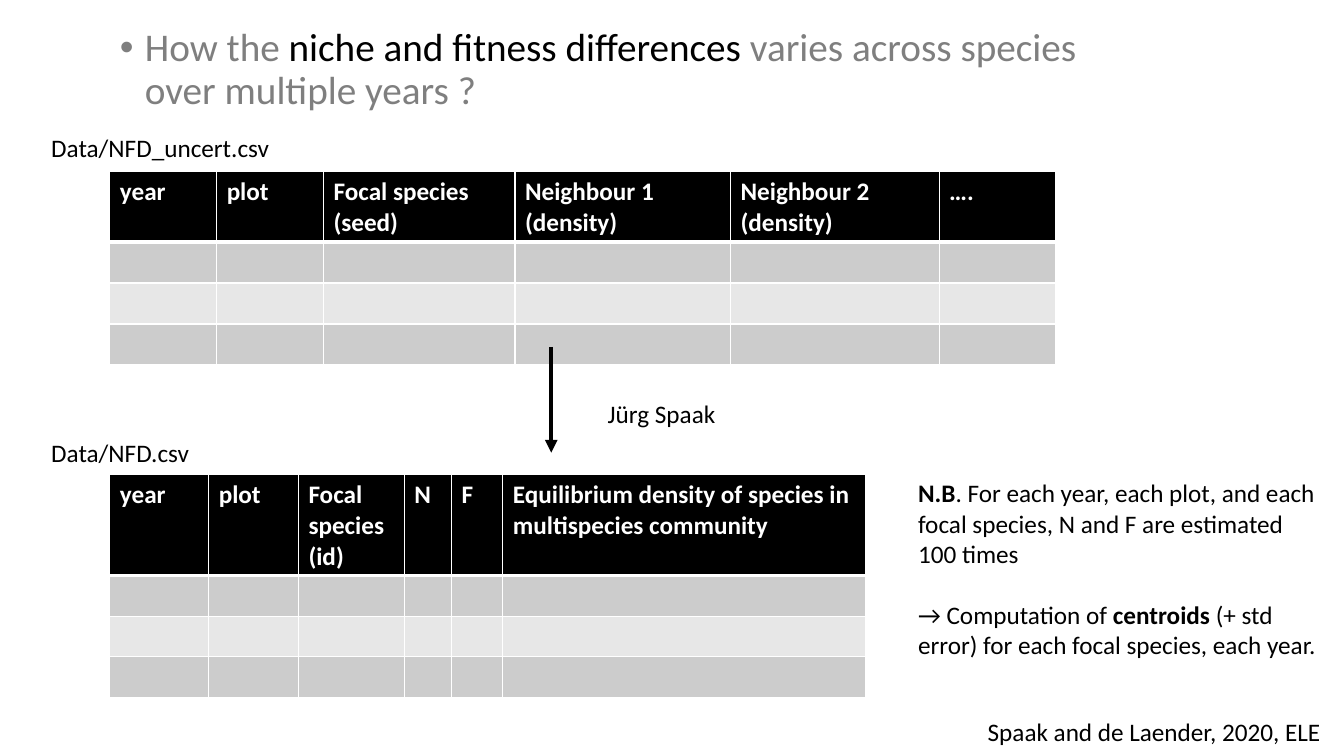
from lxml import etree
from pptx import Presentation
from pptx.dml.color import RGBColor
from pptx.enum.shapes import MSO_CONNECTOR
from pptx.enum.text import MSO_AUTO_SIZE
from pptx.oxml.ns import qn
from pptx.util import Pt

STRAIGHT = MSO_CONNECTOR.STRAIGHT
GROW, FIXED = MSO_AUTO_SIZE.SHAPE_TO_FIT_TEXT, MSO_AUTO_SIZE.NONE
BLACK = RGBColor(0x00, 0x00, 0x00)
WHITE = RGBColor(0xFF, 0xFF, 0xFF)
GREY = RGBColor(0x7F, 0x7F, 0x7F)
DARK_BAND = RGBColor(0xCC, 0xCC, 0xCC)
LIGHT_BAND = RGBColor(0xE7, 0xE7, 0xE7)
BODY = {"name": "Calibri", "size": Pt(18), "bold": False}
BOLD = {**BODY, "bold": True}
TITLE = {**BODY, "size": Pt(28)}
BLANK_LAYOUT = 6
BODY_ROWS = 3


def add_span(para, text, style, color=BLACK):
    """Add a formatted run to a paragraph."""
    span = para.add_run()
    span.text = text
    for name, value in style.items():
        setattr(span.font, name, value)
    span.font.color.rgb = color


def add_text_frame(page, box, wrap=True, auto_size=GROW):
    """Add an empty text box and return its frame."""
    frame = page.shapes.add_textbox(*map(Pt, box)).text_frame
    frame.word_wrap = wrap
    frame.auto_size = auto_size
    return frame


def add_question(page, box):
    """Add the bulleted research question."""
    para = add_text_frame(page, box, auto_size=FIXED).paragraphs[0]
    para.line_spacing = 0.9
    para.space_before = Pt(10)
    properties = para._p.get_or_add_pPr()
    properties.set("marL", str(Pt(18)))
    properties.set("indent", str(Pt(-18)))
    font = etree.SubElement(properties, qn("a:buFont"))
    font.set("typeface", "Arial")
    etree.SubElement(properties, qn("a:buChar")).set("char", "•")
    add_span(para, "How the ", TITLE, GREY)
    add_span(para, "niche and fitness differences ", TITLE)
    add_span(para, "varies across species over multiple years ?", TITLE, GREY)


def add_label(page, box, text, wrap=True):
    """Add a one-line label."""
    add_span(add_text_frame(page, box, wrap).paragraphs[0], text, BODY)


def add_border(cell, side, width):
    """Draw one white cell border."""
    line = etree.SubElement(cell._tc.get_or_add_tcPr(), qn(f"a:ln{side}"))
    line.set("w", str(Pt(width)))
    fill = etree.SubElement(line, qn("a:solidFill"))
    etree.SubElement(fill, qn("a:srgbClr")).set("val", str(WHITE))


def add_data_table(page, box, headers, widths, row_height):
    """Add a table with a black header and banded empty rows."""
    left, top, width, height = box
    table = page.shapes.add_table(
        BODY_ROWS + 1, len(headers), Pt(left), Pt(top), Pt(width), Pt(height)
    ).table
    for column, column_width in zip(table.columns, widths):
        column.width = Pt(column_width)
    for index, row in enumerate(table.rows):
        row.height = Pt(row_height if index else height - BODY_ROWS * row_height)
        color = (DARK_BAND if index % 2 else LIGHT_BAND) if index else BLACK
        edges = {"L": 1, "R": 1, "T": 3 if index == 1 else 1, "B": 1 if index else 3}
        for cell in row.cells:
            for side, thickness in edges.items():
                add_border(cell, side, thickness)
            cell.fill.solid()
            cell.fill.fore_color.rgb = color
    for cell, header in zip(table.rows[0].cells, headers):
        for index, line in enumerate(header.split("\n")):
            frame = cell.text_frame
            para = frame.add_paragraph() if index else frame.paragraphs[0]
            add_span(para, line, BOLD, WHITE)


def add_arrow(page, box):
    """Add the downward arrow along the left edge of the box."""
    left, top, width, height = box
    arrow = page.shapes.add_connector(
        STRAIGHT, Pt(left), Pt(top), Pt(left + width), Pt(top + height)
    )
    arrow.line.color.rgb = BLACK
    arrow.line.width = Pt(3)
    etree.SubElement(arrow.line._get_or_add_ln(), qn("a:tailEnd")).set("type", "triangle")
    etree.SubElement(arrow._element.spPr, qn("a:effectLst"))


def add_remark(page, box):
    """Add the remark on estimation and centroids."""
    frame = add_text_frame(page, box)
    estimates = frame.paragraphs[0]
    add_span(estimates, "N.B", BOLD)
    add_span(
        estimates,
        ". For each year, each plot, and each focal species, N and F are estimated 100 times",
        BODY,
    )
    centroids = frame.add_paragraph()
    centroids.space_before = Pt(22)
    add_span(centroids, "→ Computation of ", BODY)
    add_span(centroids, "centroids", BOLD)
    add_span(centroids, " (+ std error) for each focal species, each year.", BODY)


def build_slide(page):
    """Place every region of the slide."""
    add_question(page, (78.5, 16.5, 720, 80))
    add_label(page, (698.4, 508.3, 277.2, 29), "Spaak and de Laender, 2020, ELE")
    add_data_table(
        page,
        (78.5, 122.4, 675.5, 138.2),
        ["year", "plot", "Focal species (seed)", "Neighbour 1 (density)",
         "Neighbour 2\n(density)", "…."],
        [76.3, 76.3, 136.8, 154, 149, 83.1],
        29.2,
    )
    add_arrow(page, (393.8, 247.7, 0, 75.6))
    add_data_table(
        page,
        (78.5, 339.1, 540, 158.4),
        ["year", "plot", "Focal species (id)", "N", "F",
         "Equilibrium density of species in multispecies community"],
        [70.6, 64.1, 75.6, 33.8, 36.7, 259.2],
        29,
    )
    add_label(page, (427, 280.8, 106.6, 29), "Jürg Spaak")
    add_label(page, (29.5, 308.9, 113.8, 29), "Data/NFD.csv", wrap=False)
    add_label(page, (29.5, 90.7, 176.4, 29), "Data/NFD_uncert.csv", wrap=False)
    add_remark(page, (648.7, 337.7, 301, 138.2))


deck = Presentation()
deck.slide_width, deck.slide_height = Pt(960), Pt(540)
build_slide(deck.slides.add_slide(deck.slide_layouts[BLANK_LAYOUT]))
deck.save("out.pptx")
